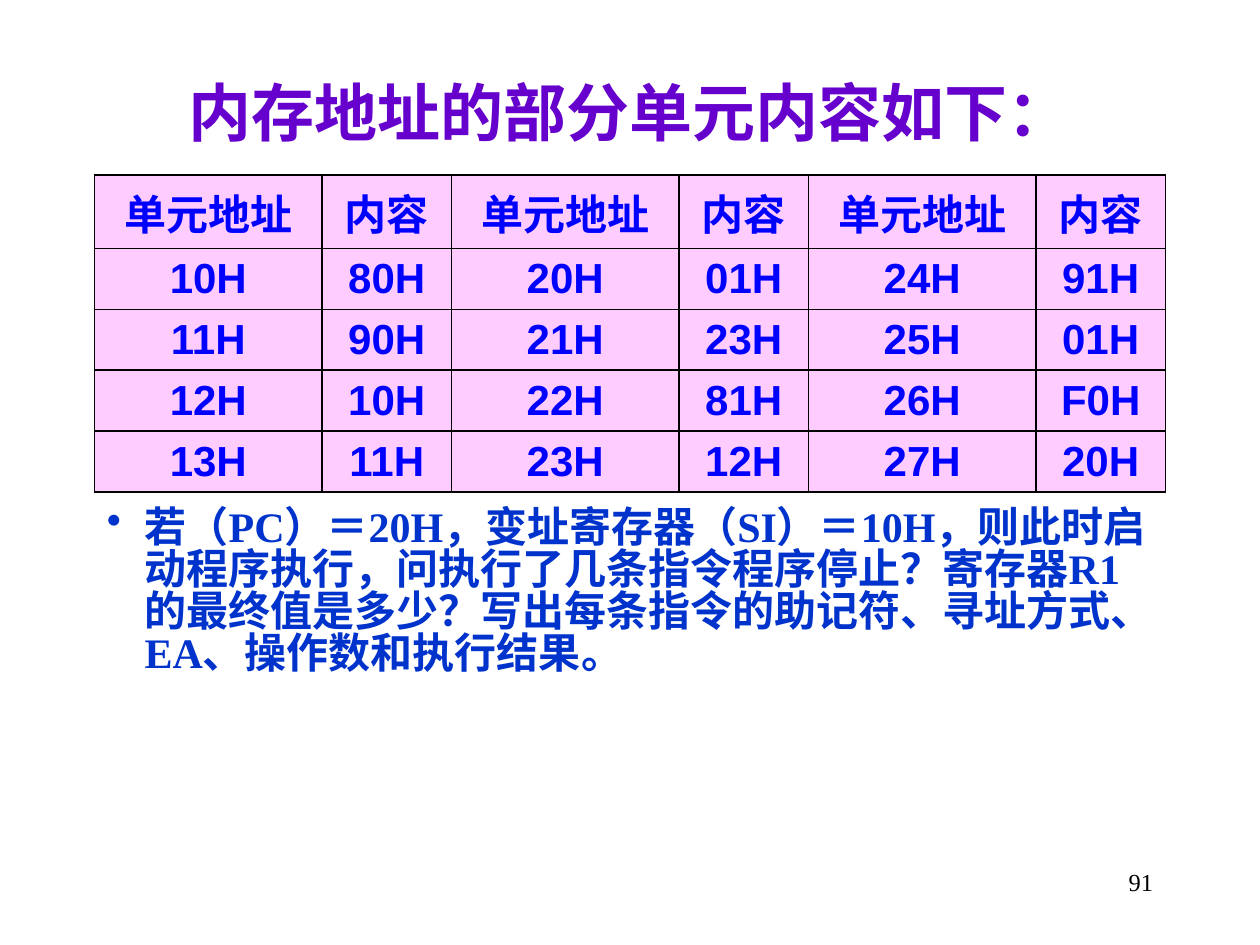
from lxml import etree
from pptx import Presentation
from pptx.dml.color import RGBColor
from pptx.enum.text import MSO_ANCHOR, PP_ALIGN
from pptx.oxml.ns import qn
from pptx.util import Pt

CENTER, RIGHT = PP_ALIGN.CENTER, PP_ALIGN.RIGHT
TOP, MIDDLE = MSO_ANCHOR.TOP, MSO_ANCHOR.MIDDLE
PURPLE = RGBColor(0x66, 0x00, 0xCC)
PINK = RGBColor(0xFF, 0xCC, 0xFF)
BLUE = RGBColor(0x00, 0x00, 0xFF)
DEEP_BLUE = RGBColor(0x00, 0x33, 0xCC)
BLACK = RGBColor(0x00, 0x00, 0x00)
SERIF, SANS = "Times New Roman", "Arial"

TITLE = "内存地址的部分单元内容如下："
MEMORY = [
    ["单元地址", "内容"] * 3,
    ["10H", "80H", "20H", "01H", "24H", "91H"],
    ["11H", "90H", "21H", "23H", "25H", "01H"],
    ["12H", "10H", "22H", "81H", "26H", "F0H"],
    ["13H", "11H", "23H", "12H", "27H", "20H"],
]
QUESTION = (
    "若（PC）＝20H，变址寄存器（SI）＝10H，则此时启动程序执行，"
    "问执行了几条指令程序停止？寄存器R1的最终值是多少？"
    "写出每条指令的助记符、寻址方式、EA、操作数和执行结果。"
)
PAGE_NUMBER = "91"

LEFT, WIDTH = 54, 612
COLUMN_WIDTHS = [130, 74] * 3
HEADER_HEIGHT, ROW_HEIGHT = 42, 34


def style(paragraph, font_name, size, color, bold=True, align=None):
    paragraph.alignment = align
    for span in paragraph.runs:
        font = span.font
        font.name, font.size, font.bold = font_name, Pt(size), bold
        font.color.rgb = color


def hang(paragraph, indent):
    """Indent all lines of the paragraph except the first."""
    properties = paragraph._p.get_or_add_pPr()
    properties.set("marL", str(Pt(indent)))
    properties.set("indent", str(Pt(-indent)))
    return properties


def add_text(page, text, left, top, width, height, anchor=TOP):
    box = page.shapes.add_textbox(Pt(left), Pt(top), Pt(width), Pt(height))
    frame = box.text_frame
    frame.word_wrap = True
    frame.vertical_anchor = anchor
    frame.text = text
    return frame.paragraphs[0]


def add_borders(cell):
    properties = cell._tc.get_or_add_tcPr()
    for position, side in enumerate(("a:lnL", "a:lnR", "a:lnT", "a:lnB")):
        line = etree.Element(qn(side), w=str(Pt(1)))
        fill = etree.SubElement(line, qn("a:solidFill"))
        etree.SubElement(fill, qn("a:srgbClr"), val=str(BLACK))
        properties.insert(position, line)


def add_memory_table(page):
    heights = [HEADER_HEIGHT] + [ROW_HEIGHT] * (len(MEMORY) - 1)
    table = page.shapes.add_table(
        len(MEMORY), len(COLUMN_WIDTHS),
        Pt(LEFT), Pt(100), Pt(WIDTH), Pt(sum(heights)),
    ).table
    for column, width in zip(table.columns, COLUMN_WIDTHS):
        column.width = Pt(width)
    for row, height, values in zip(table.rows, heights, MEMORY):
        row.height = Pt(height)
        for cell, value in zip(row.cells, values):
            cell.text = value
            cell.vertical_anchor = MIDDLE
            cell.margin_top = cell.margin_bottom = Pt(3)
            cell.fill.solid()
            cell.fill.fore_color.rgb = PINK
            add_borders(cell)
            para = cell.text_frame.paragraphs[0]
            hang(para, 27)
            style(para, SANS, 24, BLUE, align=CENTER)


def main():
    deck = Presentation()
    deck.slide_width, deck.slide_height = Pt(720), Pt(540)
    page = deck.slides.add_slide(deck.slide_layouts[6])

    title = add_text(page, TITLE, LEFT, 37.5, WIDTH, 52, MIDDLE)
    style(title, SERIF, 36, PURPLE, align=CENTER)

    add_memory_table(page)

    question = add_text(page, QUESTION, LEFT, 287.5, WIDTH, 102)
    question.line_spacing = 0.83
    etree.SubElement(hang(question, 21.6), qn("a:buChar"), char="•")
    style(question, SERIF, 24, DEEP_BLUE)

    number = add_text(page, PAGE_NUMBER, 516, 492, 150, 36)
    style(number, SERIF, 14, BLACK, bold=False, align=RIGHT)

    deck.save("out.pptx")


if __name__ == "__main__":
    main()
